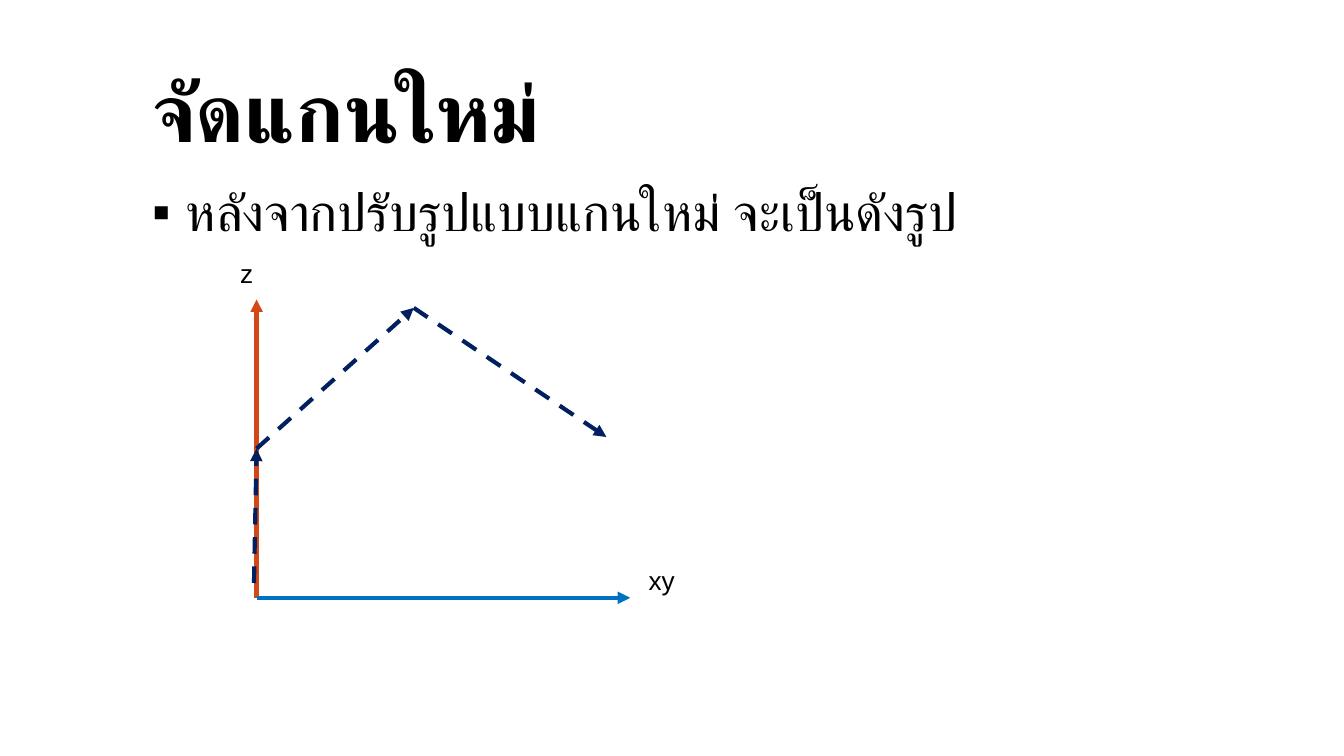
from lxml import etree
from pptx import Presentation
from pptx import util as u
from pptx.dml.color import RGBColor
from pptx.enum import dml, shapes, text
from pptx.oxml.ns import qn

HUES = {"ink": "000000", "z": "D34817", "xy": "0070C0", "path": "002060"}


def place(shape, left, top, width, height):
    shape.left, shape.top = u.Cm(left), u.Cm(top)
    shape.width, shape.height = u.Cm(width), u.Cm(height)


def write(para, words, size, face, bold=False):
    run = para.add_run()
    run.text = words
    font = run.font
    font.size, font.name, font.bold = u.Pt(size), face, bold
    font.color.rgb = RGBColor.from_string(HUES["ink"])


def fill(holder, words, size, anchor, bold=False):
    """Format a placeholder's frame and write its only paragraph."""
    frame = holder.text_frame
    frame.word_wrap = True
    frame.auto_size = text.MSO_AUTO_SIZE.NONE
    frame.vertical_anchor = anchor
    para = frame.paragraphs[0]
    para.alignment = text.PP_ALIGN.LEFT
    para.line_spacing = 0.9
    para.space_before = u.Pt(0)
    write(para, words, size, "Calibri", bold)
    return para


def bullet(para, mark):
    props = para._p.get_or_add_pPr()
    props.set("marL", str(u.Cm(0.64)))
    props.set("indent", str(-u.Cm(0.64)))
    font = etree.SubElement(props, qn("a:buFont"))
    font.set("typeface", "Arial")
    etree.SubElement(props, qn("a:buChar")).set("char", mark)


def arrow(group, start, end, hue, dash=False):
    ends = [u.Cm(v) for v in (*start, *end)]
    line = group.shapes.add_connector(shapes.MSO_CONNECTOR.STRAIGHT, *ends)
    line.line.width = u.Pt(2.25)
    line.line.color.rgb = RGBColor.from_string(HUES[hue])
    if dash:
        line.line.dash_style = dml.MSO_LINE.DASH
    tip = etree.SubElement(line.line._get_or_add_ln(), qn("a:tailEnd"))
    tip.set("type", "triangle")
    etree.SubElement(line._element.spPr, qn("a:effectLst"))


def label(group, words, left, top):
    box = group.shapes.add_textbox(0, 0, 0, 0)
    place(box, left, top, 2.62, 1.6)
    frame = box.text_frame
    frame.word_wrap = True
    frame.auto_size = text.MSO_AUTO_SIZE.SHAPE_TO_FIT_TEXT
    write(frame.paragraphs[0], words, 14, "Arial")


def graph(slide):
    group = slide.shapes.add_group_shape()
    zero = (4.85, 11.3)
    arrow(group, zero, (zero[0], 5.66), "z")
    arrow(group, zero, (11.91, zero[1]), "xy")

    low, mid, peak, last = (4.8, 11.02), (4.85, 8.48), (7.82, 5.82), (11.46, 8.26)
    for start, end in ((mid, peak), (peak, last), (low, mid)):
        arrow(group, start, end, "path", dash=True)

    label(group, "xy", 12.01, 10.54)
    label(group, "z", 4.29, 4.75)


def main():
    deck = Presentation()
    deck.slide_width, deck.slide_height = u.Cm(25.4), u.Cm(14.29)
    slide = deck.slides.add_slide(deck.slide_layouts[1])

    title, body = slide.placeholders
    place(title, 2.62, 1.04, 19.53, 2.29)
    fill(title, "จัดแกนใหม่", 44, text.MSO_ANCHOR.MIDDLE, bold=True)
    place(body, 2.62, 3.4, 20.14, 9.47)
    para = fill(body, "หลังจากปรับรูปแบบแกนใหม่ จะเป็นดังรูป", 28, text.MSO_ANCHOR.TOP)
    bullet(para, "▪")

    graph(slide)
    deck.save("out.pptx")


if __name__ == "__main__":
    main()
